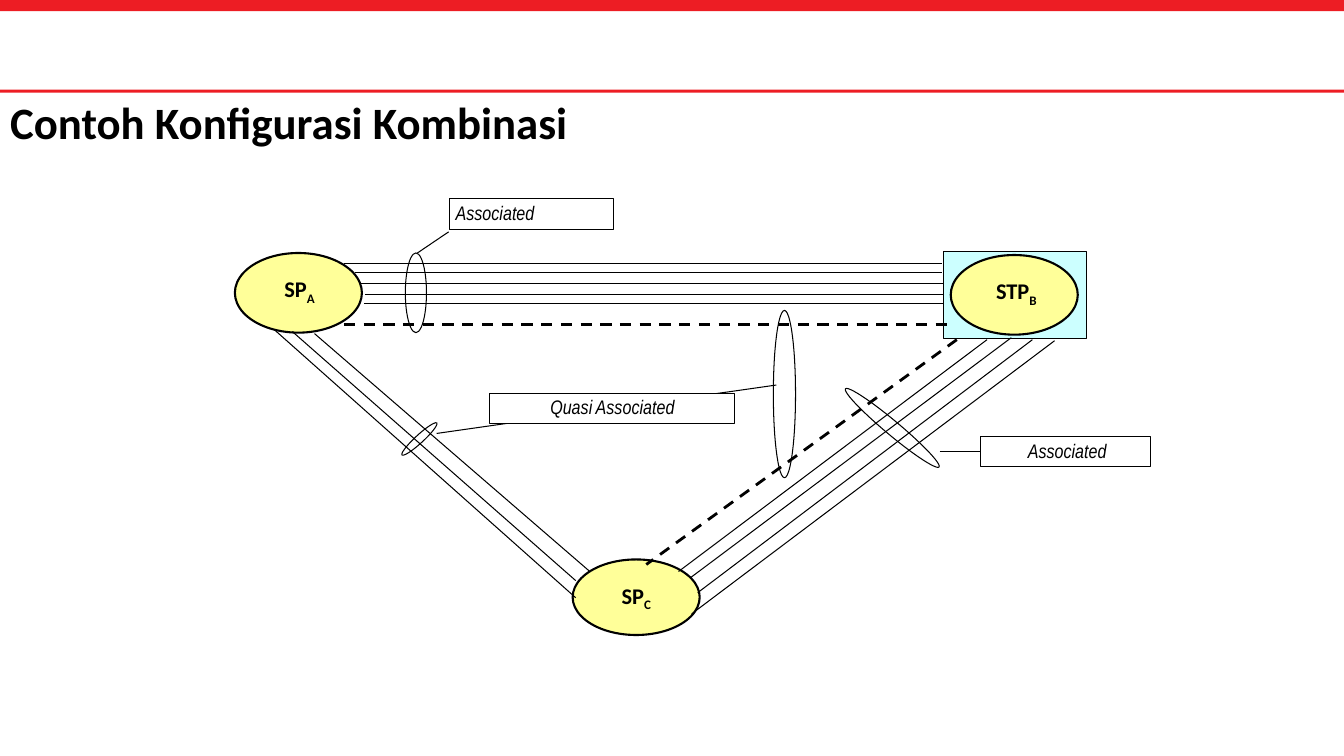
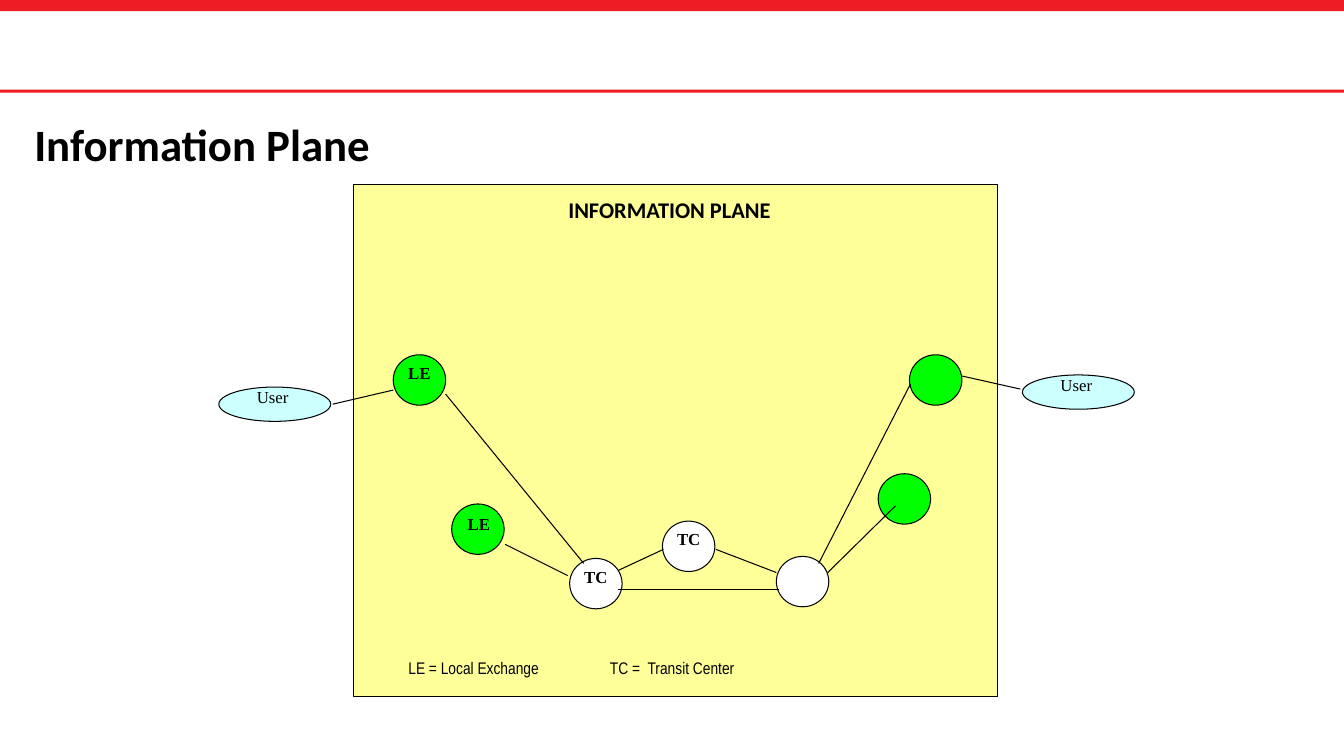
from dataclasses import dataclass

from lxml.etree import SubElement
from pptx import Presentation
from pptx.dml.color import RGBColor
from pptx.enum.dml import MSO_LINE
from pptx.enum.shapes import MSO_CONNECTOR, MSO_SHAPE
from pptx.enum.text import MSO_ANCHOR as Anchor, MSO_AUTO_SIZE, PP_ALIGN as Align
from pptx.oxml.ns import qn
from pptx.util import Inches, Pt


@dataclass(frozen=True)
class TextStyle:
    name: str
    size: float
    bold: bool = False
    italic: bool = False


@dataclass(frozen=True)
class Theme:
    red: RGBColor = RGBColor(0xED, 0x1D, 0x24)
    black: RGBColor = RGBColor(0, 0, 0)
    white: RGBColor = RGBColor(0xFF, 0xFF, 0xFF)
    yellow: RGBColor = RGBColor(0xFF, 0xFF, 0x99)
    cyan: RGBColor = RGBColor(0xCC, 0xFF, 0xFF)
    green: RGBColor = RGBColor(0, 0xFF, 0)
    title: TextStyle = TextStyle("Calibri", 32, bold=True)
    heading: TextStyle = TextStyle("Calibri", 16, bold=True)
    callout: TextStyle = TextStyle("Arial Narrow", 14, italic=True)
    legend: TextStyle = TextStyle("Arial Narrow", 12)
    node: TextStyle = TextStyle("Times New Roman", 12, bold=True)
    user: TextStyle = TextStyle("Times New Roman", 12)
    thin: float = 0.75
    medium: float = 1.5
    thick: float = 2
    inset: float = 0.02


THEME = Theme()


class Deck:
    def __init__(self, theme):
        self.theme = theme
        self.presentation = Presentation()
        self.presentation.slide_width = Inches(13.33)
        self.presentation.slide_height = Inches(7.5)
        self.layout = self.presentation.slide_layouts[5]
        self.slide = None

    def add_slide(self, title, left, top, width, height):
        first = self.slide is None
        self.slide = self.presentation.slides.add_slide(self.layout)
        if first:
            self.add_layout_bands()
        shape = self.slide.shapes.title
        shape.left, shape.top = Inches(left), Inches(top)
        shape.width, shape.height = Inches(width), Inches(height)
        frame = shape.text_frame
        frame.text = title
        frame.word_wrap = True
        frame.auto_size = MSO_AUTO_SIZE.NONE
        frame.vertical_anchor = Anchor.MIDDLE
        paragraph = frame.paragraphs[0]
        paragraph.alignment = Align.LEFT
        paragraph.line_spacing = 0.9
        self.format_font(paragraph.font, self.theme.title)

    def add_layout_bands(self):
        for number, (top, height) in enumerate([(0, 0.11), (0.89, 0.03)]):
            band = self.rectangle(0, top, 13.33, height, self.theme.red, None)
            band.element.nvSpPr.cNvPr.set("id", str(101 + number))
            self.layout.shapes.element.insert(2 + number, band.element)

    def format_font(self, font, style):
        font.name = style.name
        font.size = Pt(style.size)
        font.bold = style.bold
        font.italic = style.italic
        font.color.rgb = self.theme.black

    def shape(self, kind, left, top, width, height, fill, line_width):
        shape = self.slide.shapes.add_shape(
            kind, Inches(left), Inches(top), Inches(width), Inches(height))
        shape.shadow.inherit = False
        if fill is None:
            shape.fill.background()
        else:
            shape.fill.solid()
            shape.fill.fore_color.rgb = fill
        if line_width is None:
            shape.line.fill.background()
        else:
            shape.line.color.rgb = self.theme.black
            shape.line.width = Pt(line_width)
        return shape

    def rectangle(self, left, top, width, height, fill, line_width=THEME.thin):
        return self.shape(MSO_SHAPE.RECTANGLE, left, top, width, height, fill, line_width)

    def ellipse(self, left, top, width, height, fill=None, line_width=THEME.thin, rotation=0):
        shape = self.shape(MSO_SHAPE.OVAL, left, top, width, height, fill, line_width)
        shape.rotation = rotation

    def set_text(self, shape, text, style, align=Align.CENTER, subscript="",
                 left_inset=THEME.inset, anchor=Anchor.TOP, tab=None):
        frame = shape.text_frame
        frame.word_wrap = True
        frame.vertical_anchor = anchor
        frame.margin_left = Inches(left_inset)
        frame.margin_top = frame.margin_right = frame.margin_bottom = Inches(self.theme.inset)
        paragraph = frame.paragraphs[0]
        paragraph.alignment = align
        if tab is not None:
            tabs = SubElement(paragraph._p.get_or_add_pPr(), qn("a:tabLst"))
            SubElement(tabs, qn("a:tab"), pos=str(Inches(tab)), algn="l")
        self.format_font(paragraph.font, style)
        paragraph.add_run().text = text
        if subscript:
            run = paragraph.add_run()
            run.text = subscript
            run._r.get_or_add_rPr().set("baseline", "-25000")

    def label(self, left, top, width, height, text, style, subscript=""):
        box = self.slide.shapes.add_textbox(
            Inches(left), Inches(top), Inches(width), Inches(height))
        self.set_text(box, text, style, subscript=subscript)

    def callout(self, left, top, width, height, text, **options):
        box = self.rectangle(left, top, width, height, self.theme.white)
        self.set_text(box, text, self.theme.callout, **options)
        return box

    def line(self, x1, y1, x2, y2, dashed=False):
        line = self.slide.shapes.add_connector(
            MSO_CONNECTOR.STRAIGHT, Inches(x1), Inches(y1), Inches(x2), Inches(y2))
        line.line.color.rgb = self.theme.black
        line.line.width = Pt(self.theme.thick if dashed else self.theme.thin)
        if dashed:
            line.line.dash_style = MSO_LINE.DASH
        SubElement(line._element.spPr, qn("a:effectLst"))
        return line

    def lines(self, ends):
        for end in ends:
            self.line(*end)

    def signal_point(self, left, top, height, text, subscript, label_box):
        self.ellipse(left, top, 1.26, height, self.theme.yellow, self.theme.medium)
        self.label(*label_box, text, self.theme.heading, subscript)

    def exchange(self, left, top, fill, text="", label_left=0.02, label_top=0.06):
        self.ellipse(left, top, 0.52, 0.5, fill)
        if text:
            self.label(left + label_left, top + label_top, 0.48, 0.38,
                       text, self.theme.node)

    def user(self, left, top):
        self.ellipse(left, top, 1.11, 0.34, self.theme.cyan)
        self.label(left + 0.14, top - 0.02, 0.79, 0.38, "User", self.theme.user)


def build_combination(deck):
    theme = deck.theme
    deck.add_slide("Contoh Konfigurasi Kombinasi", 0, 0.99, 11.5, 0.5)

    deck.signal_point(2.33, 2.51, 0.79, "SP", "A", (2.48, 2.71, 0.98, 0.38))
    deck.rectangle(9.36, 2.5, 1.42, 0.86, theme.cyan)
    deck.signal_point(9.43, 2.53, 0.79, "STP", "B", (9.49, 2.73, 1.18, 0.38))
    for start, end, y in [(3.41, 9.34, 2.61), (3.52, 9.34, 2.7), (3.57, 9.36, 2.81),
                          (3.62, 9.36, 2.92), (3.61, 9.36, 3.01)]:
        deck.line(start, y, end, y)
    deck.line(3.41, 3.22, 9.39, 3.22, dashed=True)

    deck.signal_point(5.68, 5.55, 0.75, "SP", "C", (5.82, 5.75, 0.98, 0.38))
    deck.lines([
        (2.72, 3.27, 5.71, 5.93),
        (2.9, 3.29, 5.71, 5.76),
        (3.12, 3.31, 5.85, 5.67),
        (10.46, 3.38, 6.86, 6.09),
        (10.24, 3.37, 6.92, 5.88),
        (10.03, 3.35, 6.85, 5.73),
        (9.79, 3.37, 6.73, 5.67),
    ])
    deck.line(9.49, 3.37, 6.41, 5.6, dashed=True)

    deck.ellipse(4.12, 4.12, 0.08, 0.47, rotation=47.4)
    deck.ellipse(7.67, 3.08, 0.22, 1.66)
    deck.line(4.33, 4.3, 7.7, 3.82)
    deck.callout(4.86, 3.9, 2.43, 0.3, "Quasi Associated")

    deck.ellipse(4.02, 2.51, 0.21, 0.79)
    deck.line(4.45, 2.3, 4.14, 2.51)
    deck.callout(4.46, 1.97, 1.63, 0.31, "Associated", align=Align.LEFT, left_inset=0.06)

    deck.ellipse(8.78, 3.64, 0.14, 1.21, rotation=309.9)
    right_callout = deck.callout(9.72, 4.33, 1.69, 0.3, "Associated", left_inset=0.06)
    deck.line(9.32, 4.48, 9.72, 4.48).end_connect(right_callout, 1)


def build_information_plane(deck):
    theme = deck.theme
    deck.add_slide("Information Plane", 0.24, 0.83, 9, 1.25)

    deck.rectangle(3.51, 1.83, 6.38, 5.08, theme.yellow)
    heading = deck.rectangle(4.85, 1.93, 3.58, 0.44, theme.yellow, None)
    deck.set_text(heading, "INFORMATION PLANE", theme.heading)
    legend = deck.rectangle(4.03, 6.42, 5.39, 0.41, theme.yellow, None)
    deck.set_text(legend, "LE = Local Exchange\tTC =  Transit Center", theme.legend,
                  align=Align.LEFT, anchor=Anchor.MIDDLE, tab=2)

    deck.user(2.17, 3.84)
    deck.user(10.14, 3.72)
    deck.exchange(4.48, 5, theme.green, "LE", 0.03, 0.08)
    deck.exchange(3.9, 3.52, theme.green, "LE")
    deck.exchange(5.65, 5.54, theme.white, "TC")
    deck.exchange(6.57, 5.17, theme.white, "TC")
    deck.exchange(7.7, 5.52, theme.white)
    deck.exchange(8.71, 4.7, theme.green)
    deck.exchange(9.02, 3.52, theme.green)

    deck.lines([
        (3.3, 4.01, 3.9, 3.87),
        (9.54, 3.73, 10.12, 3.86),
        (4.42, 3.91, 5.79, 5.59),
        (5.01, 5.4, 5.63, 5.71),
        (6.13, 5.66, 6.58, 5.45),
        (7.1, 5.45, 7.7, 5.68),
        (6.13, 5.85, 7.73, 5.85),
        (8.21, 5.68, 8.88, 5.02),
        (9.03, 3.81, 8.12, 5.59),
    ])


def main():
    deck = Deck(THEME)
    build_combination(deck)
    build_information_plane(deck)
    deck.presentation.save("out.pptx")


if __name__ == "__main__":
    main()
